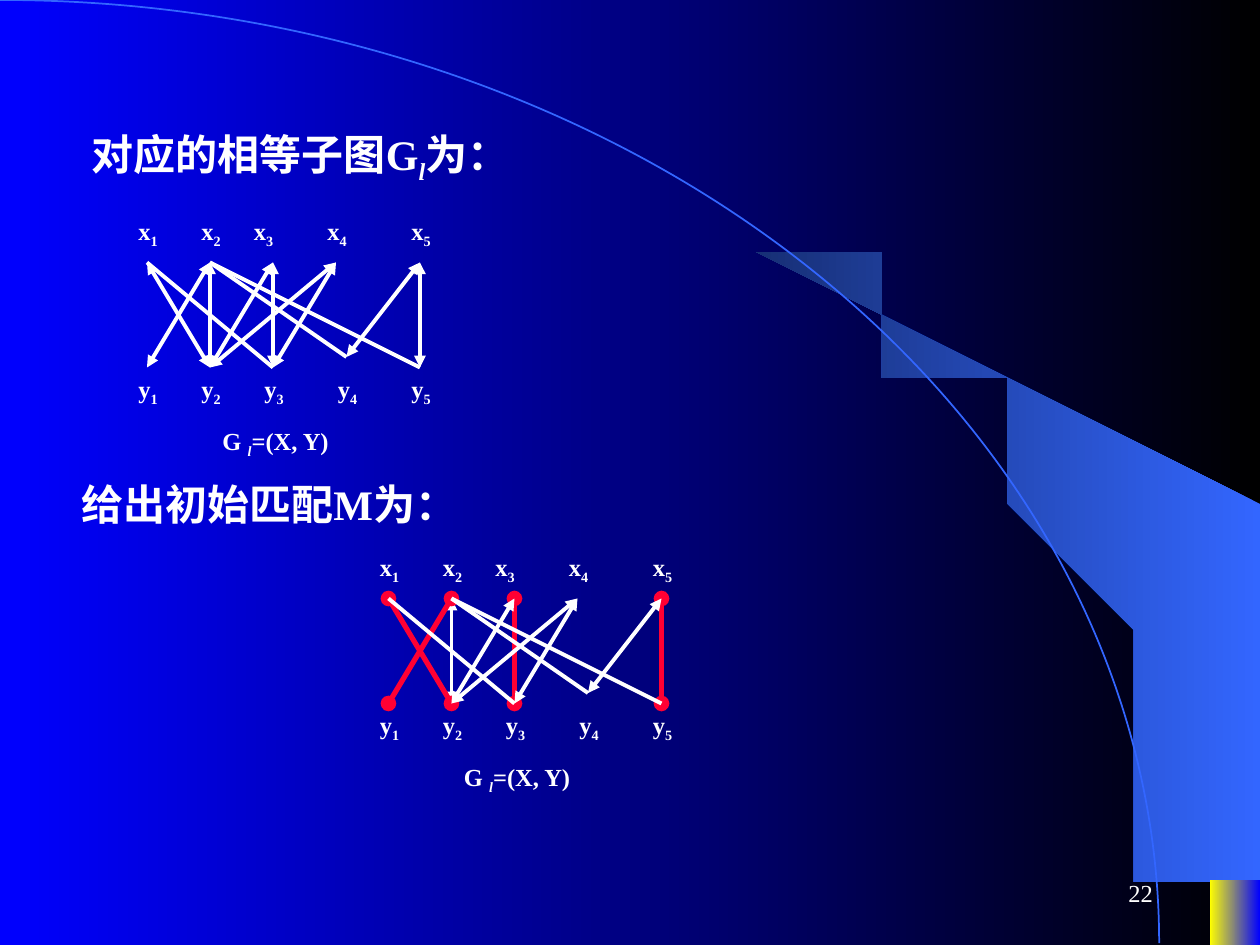
import dataclasses

import pptx
import pptx.dml.color
import pptx.enum.shapes
import pptx.enum.text
import pptx.oxml.ns
import pptx.oxml.xmlchemy
import pptx.util
import lxml.etree


@dataclasses.dataclass(frozen=True)
class Theme:
    """Colours, type sizes and line widths of the slide."""
    font: str = "Times New Roman"
    ink: str = "FFFFFF"
    match: str = "FF0033"
    night: str = "000000"
    blue: str = "0000FF"
    arc: str = "3366FF"
    band_shade: str = "172F75"
    accent: str = "FFFF00"
    heading_size: float = 24
    label_size: float = 14
    edge_width: float = 2.25
    match_width: float = 3


THEME = Theme()
CELLS_PER_INCH = 12
COLUMNS, ROWS = 120, 90

X_NODES = {1: (2, 5), 2: (8, 5), 3: (14, 5), 4: (20, 5), 5: (28, 5)}
Y_NODES = {1: (2, 15), 2: (8, 15), 3: (14, 15), 4: (21, 14), 5: (28, 15)}
LABEL_COLUMNS = {"x": (0, 6, 11, 18, 26), "y": (0, 6, 12, 19, 26)}
LABEL_ROWS = {"x": 0, "y": 15}
EDGES = [(2, 2), (3, 3), (5, 5), (1, 2), (3, 2), (5, 4),
         (4, 3), (4, 2), (2, 1), (1, 3), (2, 4), (2, 5)]
PLAIN_EDGES = {(1, 3), (2, 4), (2, 5)}
INITIAL_MATCHING = {(1, 2), (2, 1), (3, 3), (5, 5)}
BAND_OUTLINE = [(9.2, 7.48), (9.99, 7.49), (9.99, 4.23), (5.89, 1.73), (6.24, 1.99),
                (6.53, 2.22), (6.85, 2.5), (7.16, 2.8), (7.62, 3.3), (8.03, 3.84),
                (8.32, 4.31), (8.58, 4.79), (8.78, 5.28), (8.93, 5.72), (9.03, 6.09),
                (9.13, 6.56), (9.17, 6.96)]


def cells(*counts):
    """Turn counts of grid cells into lengths."""
    return [pptx.util.Inches(count / CELLS_PER_INCH) for count in counts]


def rgb(code):
    """Return the colour for a hex code."""
    return pptx.dml.color.RGBColor.from_string(code)


def paint_gradient(fill, first, last):
    """Fill with a linear gradient that runs from right to left."""
    fill.gradient()
    fill.gradient_angle = 180
    for stop, code, position in zip(fill.gradient_stops, (first, last), (0, 1)):
        stop.color.rgb = rgb(code)
        stop.position = position


def write(frame, pieces, size, bold=True):
    """Write one left-aligned line; each piece is a text and its italic and subscript flags."""
    frame.word_wrap = True
    frame.auto_size = pptx.enum.text.MSO_AUTO_SIZE.NONE
    line = frame.paragraphs[0]
    line.alignment = pptx.enum.text.PP_ALIGN.LEFT
    for words, italic, subscript in pieces:
        run = line.add_run()
        run.text = words
        run.font.name = THEME.font
        run.font.size = pptx.util.Pt(size)
        run.font.bold = bold
        run.font.italic = italic
        run.font.color.rgb = rgb(THEME.ink)
        if subscript:
            run.font._element.set("baseline", "-25000")
    return line


def draw_backdrop(slide):
    """Draw the gradient background, the light band, the arc and the corner tab."""
    paint_gradient(slide.background.fill, THEME.night, THEME.blue)

    outline = slide.shapes.build_freeform(*BAND_OUTLINE[0], scale=pptx.util.Inches(1))
    outline.add_line_segments(BAND_OUTLINE[1:], close=True)
    band = outline.convert_to_shape()
    paint_gradient(band.fill, THEME.arc, THEME.band_shade)

    arc = slide.shapes.add_shape(
        pptx.enum.shapes.MSO_SHAPE.ARC,
        *(pptx.util.Inches(length) for length in (-9.2, 0, 18.4, 14.97)))
    arc.fill.background()
    arc.line.color.rgb = rgb(THEME.arc)
    arc.line.width = pptx.util.Pt(1)

    tab = slide.shapes.add_shape(
        pptx.enum.shapes.MSO_SHAPE.RECTANGLE, *cells(115.2, 83.8, 4.8, 6.2))
    paint_gradient(tab.fill, THEME.blue, THEME.accent)

    for part in (band, arc, tab):
        part.shadow.inherit = False
    for part in (band, tab):
        part.line.fill.background()


def place_heading(heading, box, pieces):
    """Move a placeholder to its box and write a heading without a bullet."""
    heading.left, heading.top, heading.width, heading.height = cells(*box)
    frame = heading.text_frame
    frame.vertical_anchor = pptx.enum.text.MSO_ANCHOR.MIDDLE
    frame.margin_left = pptx.util.Inches(0.48)
    line = write(frame, pieces, THEME.heading_size)
    line.space_before = pptx.util.Pt(0)
    settings = line._p.get_or_add_pPr()
    settings.set("marL", "0")
    settings.set("indent", "0")
    lxml.etree.SubElement(settings, pptx.oxml.ns.qn("a:buNone"))


def draw_edge(slide, start, end, color, width, cap):
    """Draw one edge with the same cap, if any, at both ends."""
    edge = slide.shapes.add_connector(
        pptx.enum.shapes.MSO_CONNECTOR.STRAIGHT, *cells(*start, *end))
    edge.line.color.rgb = rgb(color)
    edge.line.width = pptx.util.Pt(width)
    if cap:
        stroke = edge.line._get_or_add_ln()
        for tip in ("a:headEnd", "a:tailEnd"):
            lxml.etree.SubElement(stroke, pptx.oxml.ns.qn(tip), type=cap)
    lxml.etree.SubElement(edge._element.spPr, pptx.oxml.ns.qn("a:effectLst"))


def draw_graph(slide, column, row, matching=frozenset()):
    """Draw the bipartite graph from its top left cell, with the matching in red."""
    for pair in EDGES:
        start, end = X_NODES[pair[0]], Y_NODES[pair[1]]
        if pair in matching:
            style = THEME.match, THEME.match_width, "oval"
        else:
            style = THEME.ink, THEME.edge_width, None if pair in PLAIN_EDGES else "triangle"
        draw_edge(slide, (column + start[0], row + start[1]),
                  (column + end[0], row + end[1]), *style)

    for side, label_columns in LABEL_COLUMNS.items():
        for number, offset in enumerate(label_columns, 1):
            label = slide.shapes.add_textbox(
                *cells(column + offset, row + LABEL_ROWS[side], 5.2, 4.4))
            write(label.text_frame, [(side, False, False), (str(number), False, True)],
                  THEME.label_size)

    caption = slide.shapes.add_textbox(*cells(column + 8, row + 20, 13.2, 4.4))
    write(caption.text_frame,
          [("G ", False, False), ("l", True, True), ("=(X, Y)", False, False)],
          THEME.label_size)


def place_page_number(slide, box):
    """Write the page number at the right of its box."""
    number = slide.shapes.add_textbox(*cells(*box))
    number.text_frame.vertical_anchor = pptx.enum.text.MSO_ANCHOR.MIDDLE
    line = write(number.text_frame, [("22", False, False)], THEME.label_size, bold=False)
    line.alignment = pptx.enum.text.PP_ALIGN.RIGHT


def main():
    """Build the slide and save it."""
    deck = pptx.Presentation()
    deck.slide_width, deck.slide_height = cells(COLUMNS, ROWS)
    slide = deck.slides.add_slide(deck.slide_layouts[1])
    equality_heading, matching_heading = slide.placeholders

    draw_backdrop(slide)
    place_heading(equality_heading, (3, 11.6, 102, 6.7),
                  [("对应的相等子图G", False, False), ("l", True, True), ("为：", False, False)])
    place_heading(matching_heading, (2, 45, 102, 6), [("给出初始匹配M为：", False, False)])
    draw_graph(slide, 12, 20)
    draw_graph(slide, 35, 52, INITIAL_MATCHING)
    place_page_number(slide, (86, 82, 25, 6))
    deck.save("out.pptx")


if __name__ == "__main__":
    main()
